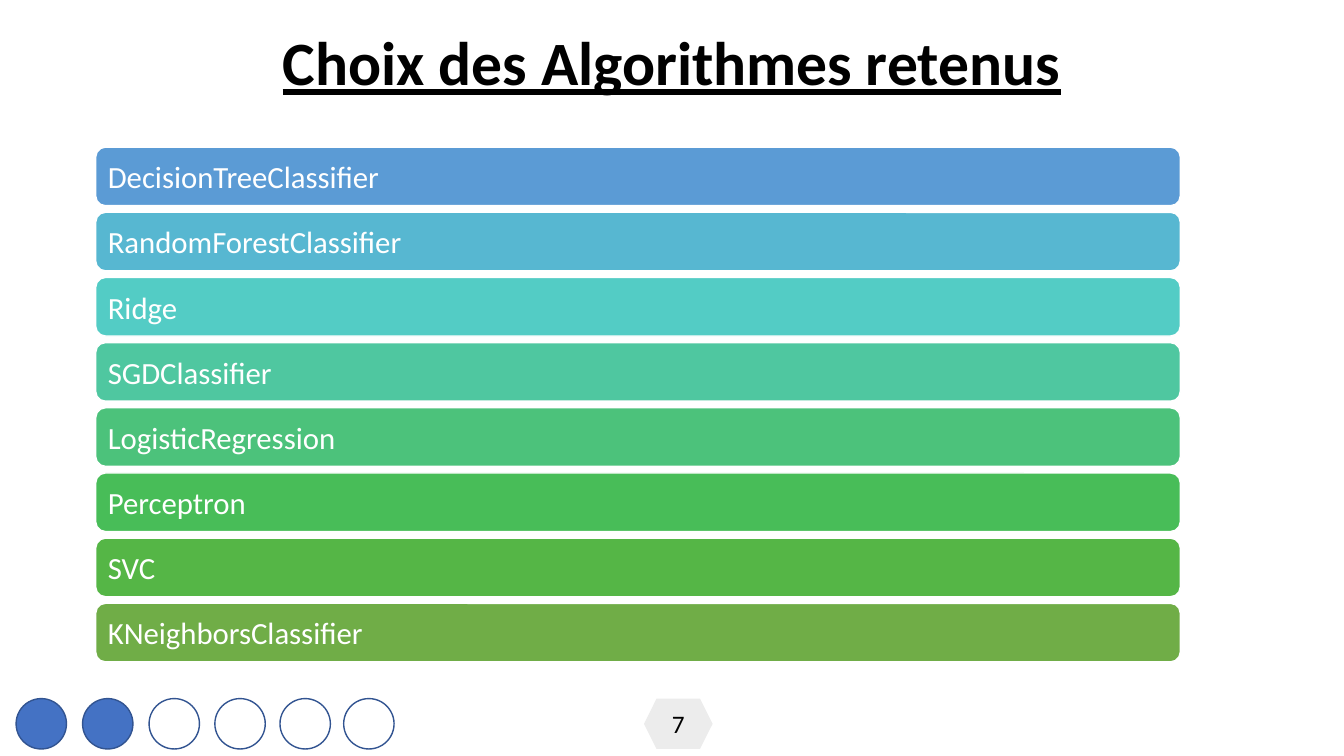
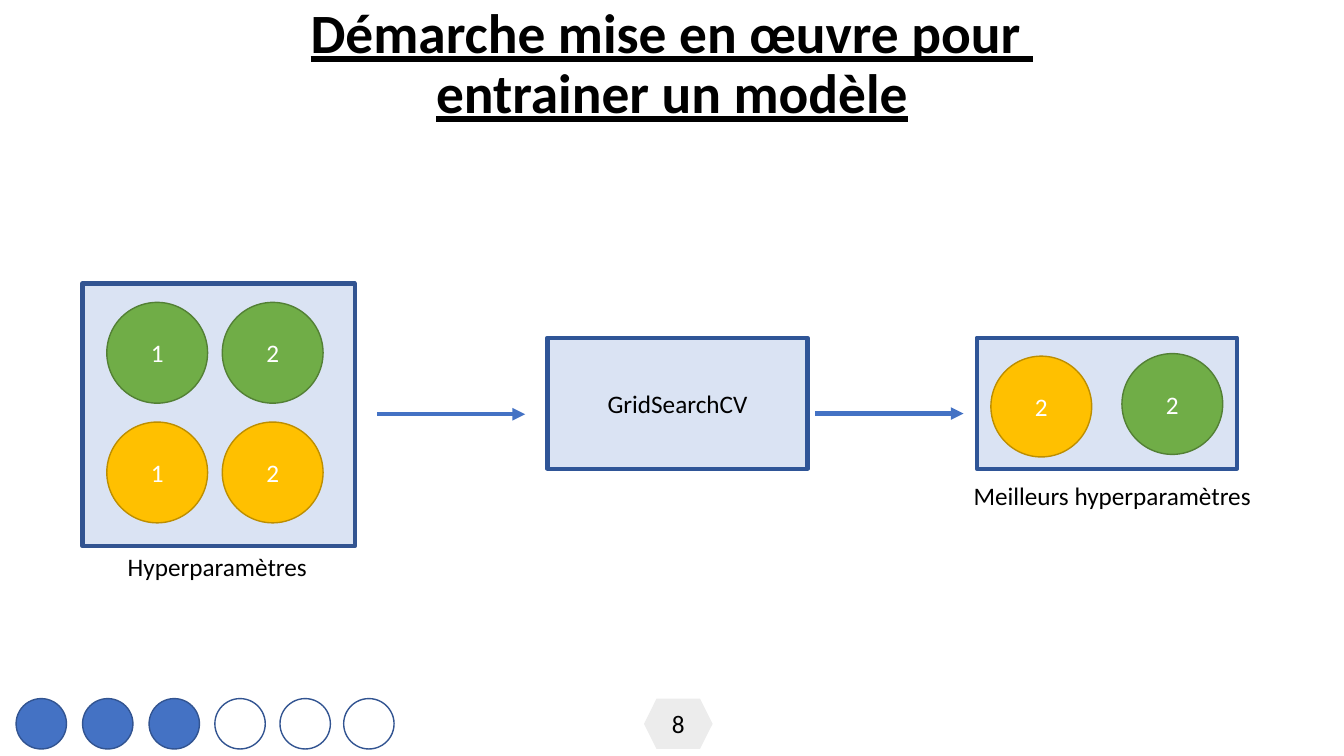
from typing import NamedTuple, Optional

from lxml.etree import SubElement
from pptx import Presentation
from pptx.dml.color import RGBColor
from pptx.enum.shapes import MSO_CONNECTOR, MSO_SHAPE
from pptx.enum.text import MSO_ANCHOR, PP_ALIGN
from pptx.oxml.ns import qn
from pptx.shapes.autoshape import Shape
from pptx.slide import Slide
from pptx.util import Pt

FONT = "Calibri"
SLIDE_W, SLIDE_H = 960, 540
COLORS = {
    "black": "000000",
    "white": "FFFFFF",
    "blue": "4472C4",
    "dot_line": "325491",
    "frame_line": "2F5597",
    "frame": "DAE3F3",
    "page": "ECECEC",
    "green": "70AD47",
    "green_line": "538035",
    "gold": "FFC000",
    "gold_line": "BD8E00",
    "bar_1": "5B9BD5",
    "bar_2": "57B7D1",
    "bar_3": "53CCC5",
    "bar_4": "4FC7A0",
    "bar_5": "4CC27B",
    "bar_6": "48BD58",
    "bar_7": "55B646",
    "bar_8": "70AD47",
}
DOT_LEFTS = (11.5, 59, 106.5, 153.5, 200, 245.5)
ALGORITHMS = (
    "DecisionTreeClassifier",
    "RandomForestClassifier",
    "Ridge",
    "SGDClassifier",
    "LogisticRegression",
    "Perceptron",
    "SVC",
    "KNeighborsClassifier",
)


class Box(NamedTuple):
    left: float
    top: float
    width: float
    height: float


class Ball(NamedTuple):
    text: str
    color: str
    left: float
    top: float


class Label(NamedTuple):
    text: str
    box: Box


class Arrow(NamedTuple):
    left: float
    right: float
    y: float


TITLE_BOX = Box(0, 0, SLIDE_W, 93.6)
PAGE_BOX = Box(460, 499, 49, 36)
FIRST_BAR = Box(68.4, 105.1, 774.7, 41.8)
BAR_PITCH = 46.55

BEST_FRAME = Box(697.7, 241.2, 185.8, 93.6)
PARAMS_FRAME = Box(59, 202.5, 194.4, 187.8)
SEARCH_FRAME = Box(391, 241.2, 185.8, 93.6)
BALL_SIZE = 72
BALLS = (
    Ball("1", "green", 76.3, 216),
    Ball("2", "green", 158.8, 216),
    Ball("1", "gold", 76.3, 301.5),
    Ball("2", "gold", 158.8, 301.5),
    Ball("2", "green", 801.4, 252.6),
    Ball("2", "gold", 707.8, 254.4),
)
LABELS = (
    Label("Hyperparamètres", Box(84.2, 390.2, 144, 29)),
    Label("Meilleurs hyperparamètres", Box(688.3, 339.1, 214.6, 29)),
)
ARROWS = (Arrow(269.3, 375.1, 295.9), Arrow(582.5, 688.3, 295.4))


def rgb(name: str) -> RGBColor:
    return RGBColor.from_string(COLORS[name])


def set_text(sp: Shape, text: str, size: float = 18, color: str = "black",
             align: PP_ALIGN = PP_ALIGN.CENTER, heading: bool = False) -> None:
    tf = sp.text_frame
    tf.vertical_anchor = MSO_ANCHOR.MIDDLE
    p = tf.paragraphs[0]
    p.text = text
    p.alignment = align
    if heading:
        p.line_spacing = 0.9
        p.space_before = Pt(10)
    for r in p.runs:
        r.font.name = FONT
        r.font.size = Pt(size)
        r.font.color.rgb = rgb(color)
        if heading:
            r.font.bold = r.font.underline = True


def add_shape(s: Slide, kind: MSO_SHAPE, box: Box, fill: str,
              line: Optional[str] = None, weight: float = 1) -> Shape:
    sp = s.shapes.add_shape(kind, *map(Pt, box))
    sp.shadow.inherit = False
    sp.fill.solid()
    sp.fill.fore_color.rgb = rgb(fill)
    if line:
        sp.line.color.rgb = rgb(line)
        sp.line.width = Pt(weight)
    else:
        sp.line.fill.background()
    return sp


def add_arrow(s: Slide, arrow: Arrow) -> None:
    y = Pt(arrow.y)
    c = s.shapes.add_connector(MSO_CONNECTOR.STRAIGHT, Pt(arrow.left), y, Pt(arrow.right), y)
    c.line.color.rgb = rgb("blue")
    c.line.width = Pt(3)
    props = c.element.spPr
    SubElement(props.find(qn("a:ln")), qn("a:tailEnd"), type="triangle")
    SubElement(props, qn("a:effectLst"))


def add_slide(prs: Presentation, title: str, title_size: float, page: int, done: int) -> Slide:
    """Add a slide with its title, page number and progress dots, of which `done` are filled."""
    s = prs.slides.add_slide(prs.slide_layouts[6])
    heading = s.shapes.add_textbox(*map(Pt, TITLE_BOX))
    heading.text_frame.word_wrap = True
    set_text(heading, title, title_size, heading=True)

    number = add_shape(s, MSO_SHAPE.HEXAGON, PAGE_BOX, "page")
    number.text_frame.word_wrap = False
    set_text(number, str(page))

    for i, left in enumerate(DOT_LEFTS):
        add_shape(s, MSO_SHAPE.FLOWCHART_CONNECTOR, Box(left, 499, 36, 36),
                  "blue" if i < done else "white", "dot_line")
    return s


def add_algorithm_slide(prs: Presentation) -> None:
    s = add_slide(prs, "Choix des Algorithmes retenus", 44, page=7, done=2)
    for i, name in enumerate(ALGORITHMS):
        box = FIRST_BAR._replace(top=FIRST_BAR.top + i * BAR_PITCH)
        bar = add_shape(s, MSO_SHAPE.ROUNDED_RECTANGLE, box, f"bar_{i + 1}", "white")
        bar.text_frame.margin_left = Pt(6.6)
        set_text(bar, name, 22, "white", PP_ALIGN.LEFT)


def add_training_slide(prs: Presentation) -> None:
    s = add_slide(prs, "Démarche mise en œuvre pour \ventrainer un modèle", 39.6,
                  page=8, done=3)
    add_shape(s, MSO_SHAPE.RECTANGLE, BEST_FRAME, "frame", "frame_line", 3)
    add_shape(s, MSO_SHAPE.RECTANGLE, PARAMS_FRAME, "frame", "dot_line", 3)
    search = add_shape(s, MSO_SHAPE.RECTANGLE, SEARCH_FRAME, "frame", "frame_line", 3)
    set_text(search, "GridSearchCV")

    for ball in BALLS:
        box = Box(ball.left, ball.top, BALL_SIZE, BALL_SIZE)
        sp = add_shape(s, MSO_SHAPE.OVAL, box, ball.color, f"{ball.color}_line")
        set_text(sp, ball.text, color="white")
    for label in LABELS:
        sp = s.shapes.add_textbox(*map(Pt, label.box))
        sp.text_frame.word_wrap = False
        set_text(sp, label.text, align=PP_ALIGN.LEFT)
    for arrow in ARROWS:
        add_arrow(s, arrow)


def main() -> None:
    prs = Presentation()
    prs.slide_width, prs.slide_height = Pt(SLIDE_W), Pt(SLIDE_H)
    add_algorithm_slide(prs)
    add_training_slide(prs)
    prs.save("out.pptx")


if __name__ == "__main__":
    main()
